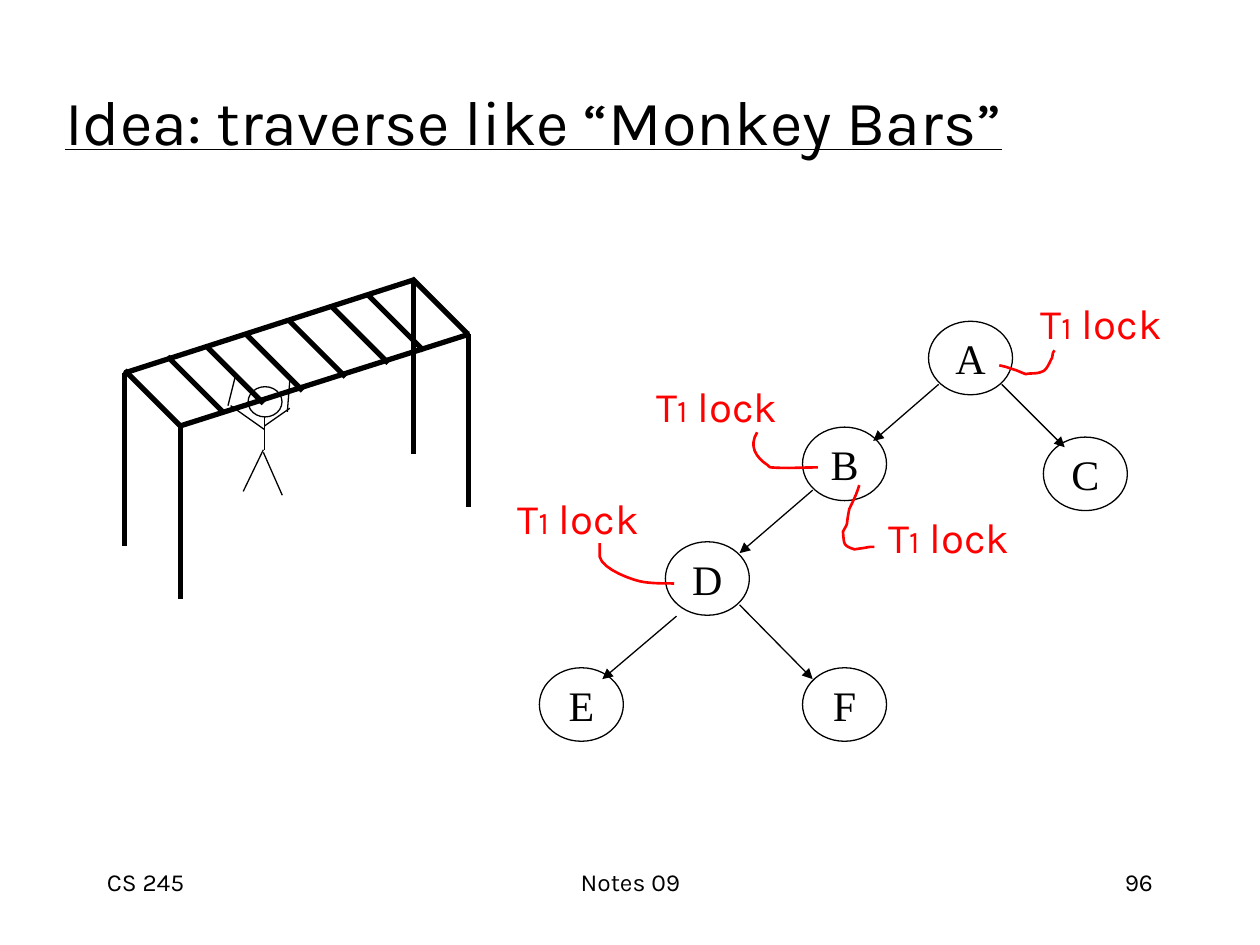
from dataclasses import dataclass

from lxml import etree
from pptx import Presentation
from pptx.dml.color import RGBColor
from pptx.enum.shapes import MSO_CONNECTOR, MSO_SHAPE
from pptx.enum.text import MSO_ANCHOR, PP_ALIGN
from pptx.oxml.ns import qn
from pptx.slide import Slide
from pptx.util import Pt

STRAIGHT = MSO_CONNECTOR.STRAIGHT
OVAL = MSO_SHAPE.OVAL
MIDDLE, TOP = MSO_ANCHOR.MIDDLE, MSO_ANCHOR.TOP
LEFT, CENTER, RIGHT = PP_ALIGN.LEFT, PP_ALIGN.CENTER, PP_ALIGN.RIGHT

COLORS = {"ink": "000000", "paper": "FFFFFF", "lock": "FF0000"}
SANS, SERIF = "Karla", "Times New Roman"
THIN, MARK, BAR = 0.75, 1.5, 3
CURVE_STEPS = 8

FIGURE_HEAD = (141.8, 221, 19.4, 17.3)
FIGURE_LIMBS = [
    (151.2, 238.3, 151.2, 257),
    (150.5, 257, 139, 280.8),
    (150.5, 258.5, 161.3, 283),
    (151.2, 245.5, 131.8, 231.8),
    (130.3, 231.8, 134.6, 214.6),
    (151.2, 243.4, 165.6, 233.3),
    (164.2, 235.4, 165.6, 217.4),
]

LEG_HEIGHT, RUNG_SPAN = 99, 31.8
LEG_TOPS = [(71.3, 213.1), (103, 243.4), (236.2, 160.6), (267.8, 190.8)]
RAILS = [(236.9, 159.8, 71.3, 213.1), (268.6, 190.8, 103, 243.4)]
RUNG_STARTS = [
    (71.3, 211.7), (95.8, 203.8), (118.8, 198.7), (141.1, 191.5),
    (165.6, 183.6), (190.1, 175.7), (210.2, 168.5), (235.4, 159.1),
]

NODE_SIZE = (48, 42)
NODES = {
    "A": (530.6, 183.6), "B": (458.6, 244.1), "C": (596.2, 249.8),
    "D": (380.2, 309.6), "E": (308.2, 381.6), "F": (458.6, 381.6),
}
EDGES = [
    (536.4, 219.6, 499, 252),
    (464.4, 280.1, 422.6, 316.1),
    (386.6, 352.1, 344.2, 388.1),
    (422.6, 345.6, 464.4, 388.1),
    (572.4, 219.6, 608.4, 255.6),
]

LABEL_SIZE = (89.3, 36)
LOCK_RUNS = [("T", 24), ("1", 18), (" lock", 24)]
LOCKS = [
    ((584.6, 166.3), [
        (571, 208.8), (577.4, 210.2), (573.8, 209.5), (581, 211.7),
        (582.5, 212.4), (586.1, 213.8), (586.1, 213.8),
        (589, 213.1), (592.6, 213.8), (595.4, 212.4),
        (598.3, 211.7), (599.8, 206.6), (601.2, 204.5),
        (601.9, 200.9), (601.2, 202.3), (602.6, 200.2)]),
    ((497.5, 288.7), [
        (491, 277.2), (489.6, 282.2), (487.4, 286.6), (485.3, 290.9),
        (483.1, 301.7), (485.3, 297.4), (481.7, 303.8),
        (482.4, 311), (481.7, 311.8), (488.2, 313.9),
        (499, 312.5), (494.6, 312.5), (499.7, 312.5)]),
    ((285.8, 277.9), [
        (385.2, 333.4), (379.4, 333.4), (373.7, 333.4), (367.9, 332.6),
        (362.2, 331.9), (344.2, 325.4), (342.7, 318.2),
        (342.7, 315.4), (342.7, 312.5), (342.7, 310.3)]),
    ((365, 213.8), [
        (432.7, 247), (427.7, 254.9), (432, 261.4), (438.5, 265.7),
        (439.2, 266.4), (439.9, 267.1), (440.6, 267.1),
        (449.3, 267.8), (458.6, 267.1), (467.3, 267.1)]),
]

FOOTERS = [
    ("CS 245", 54, 150, LEFT),
    ("Notes 09", 246, 228.5, CENTER),
    ("96", 516, 150, RIGHT),
]


def color(name):
    """Return the named palette colour."""
    return RGBColor.from_string(COLORS[name])


def cubic(points, t):
    """Return the point at t on a cubic curve."""
    weights = ((1 - t) ** 3, 3 * t * (1 - t) ** 2, 3 * t * t * (1 - t), t ** 3)
    return tuple(
        sum(weight * point[axis] for weight, point in zip(weights, points))
        for axis in (0, 1)
    )


@dataclass
class Sketch:
    """Draws styled elements on the current slide."""

    slide: Slide

    def set_text(self, shape, runs, font, ink="ink", align=CENTER,
                 anchor=MIDDLE, wrap=False, underline=None):
        """Fill a shape with one paragraph of sized runs."""
        frame = shape.text_frame
        frame.word_wrap = wrap
        frame.vertical_anchor = anchor
        para = frame.paragraphs[0]
        para.alignment = align
        para.font.name = font
        para.font.underline = underline
        para.font.color.rgb = color(ink)
        para.font.size = Pt(runs[0][1])
        for text, size in runs:
            span = para.add_run()
            span.text = text
            if size != runs[0][1]:
                span.font.size = Pt(size)

    def text(self, x, y, width, height, runs, **style):
        """Add a text box."""
        box = self.slide.shapes.add_textbox(Pt(x), Pt(y), Pt(width), Pt(height))
        self.set_text(box, runs, SANS, **style)

    def oval(self, x, y, width, height, letter=None):
        """Add an outlined oval, with a letter if given."""
        shape = self.slide.shapes.add_shape(
            OVAL, Pt(x), Pt(y), Pt(width), Pt(height))
        shape.shadow.inherit = False
        shape.fill.solid()
        shape.fill.fore_color.rgb = color("paper")
        shape.line.color.rgb = color("ink")
        shape.line.width = Pt(THIN)
        if letter:
            self.set_text(shape, [(letter, 24)], SERIF)

    def line(self, x1, y1, x2, y2, width=THIN, arrow=False):
        """Add a straight line, with an arrowhead at its end if asked."""
        line = self.slide.shapes.add_connector(
            STRAIGHT, Pt(x1), Pt(y1), Pt(x2), Pt(y2))
        line.line.color.rgb = color("ink")
        line.line.width = Pt(width)
        properties = line.element.spPr
        if arrow:
            etree.SubElement(
                properties.find(qn("a:ln")), qn("a:tailEnd"), type="triangle")
        etree.SubElement(properties, qn("a:effectLst"))

    def curve(self, points):
        """Add an open red outline along a chain of cubic curves."""
        trail = [
            cubic(points[first:first + 4], step / CURVE_STEPS)
            for first in range(0, len(points) - 1, 3)
            for step in range(1, CURVE_STEPS + 1)
        ]
        builder = self.slide.shapes.build_freeform(*map(Pt, points[0]))
        builder.add_line_segments(
            [(Pt(x), Pt(y)) for x, y in trail], close=False)
        shape = builder.convert_to_shape()
        shape.shadow.inherit = False
        shape.fill.background()
        shape.line.color.rgb = color("lock")
        shape.line.width = Pt(MARK)


def main():
    """Build the slide and save the deck."""
    deck = Presentation()
    deck.slide_width, deck.slide_height = Pt(720), Pt(540)
    sketch = Sketch(deck.slides.add_slide(deck.slide_layouts[6]))

    sketch.text(30.2, 32.4, 612, 72.7, [("Idea: traverse like “Monkey Bars”", 36)],
                align=LEFT, wrap=True, underline=True)

    sketch.oval(*FIGURE_HEAD)
    for limb in FIGURE_LIMBS:
        sketch.line(*limb)

    for x, y in LEG_TOPS:
        sketch.line(x, y, x, y + LEG_HEIGHT, BAR)
    for rail in RAILS:
        sketch.line(*rail, BAR)
    for x, y in RUNG_STARTS:
        sketch.line(x, y, x + RUNG_SPAN, y + RUNG_SPAN, BAR)

    for letter, corner in NODES.items():
        sketch.oval(*corner, *NODE_SIZE, letter)
    for edge in EDGES:
        sketch.line(*edge, arrow=True)

    for corner, points in LOCKS:
        sketch.text(*corner, *LABEL_SIZE, LOCK_RUNS, ink="lock")
        sketch.curve(points)

    for text, x, width, align in FOOTERS:
        sketch.text(x, 491.8, width, 36, [(text, 14)],
                    align=align, anchor=TOP, wrap=True)

    deck.save("out.pptx")


if __name__ == "__main__":
    main()
